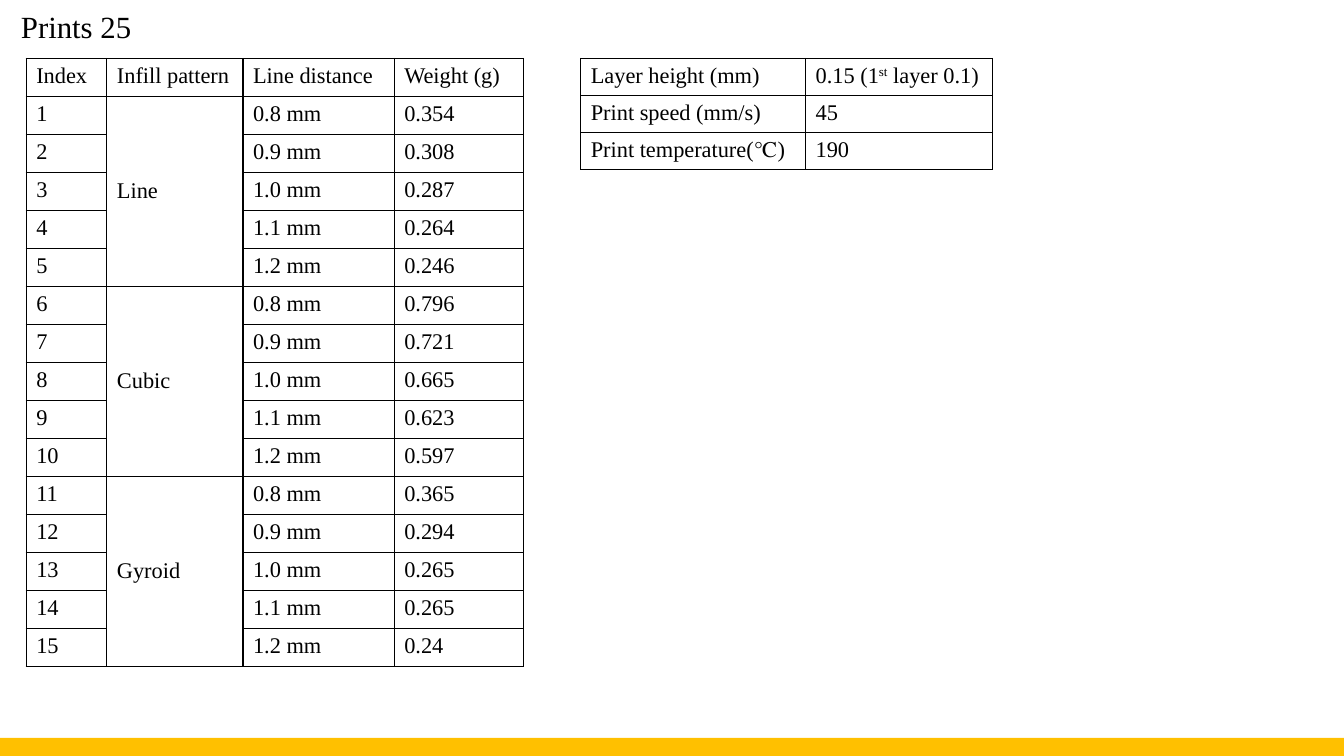
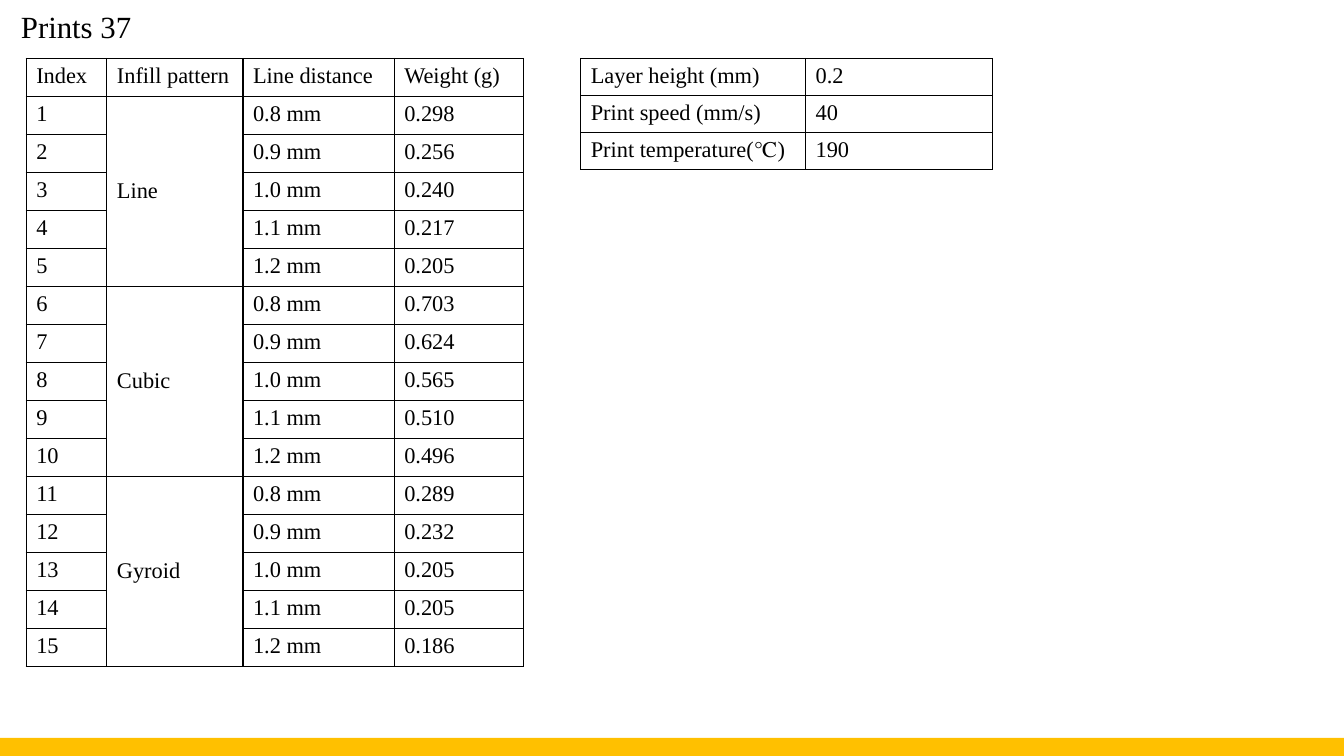
from lxml.etree import SubElement as Sub
from pptx import Presentation
from pptx.dml.color import RGBColor as RGB
from pptx.enum.shapes import MSO_SHAPE as Shape
from pptx.enum.text import MSO_ANCHOR as Anchor
from pptx.oxml.ns import qn
from pptx.util import Inches, Pt

COLORS = {"ink": "000000", "band": "FFC000", "paper": "FFFFFF"}
FONT = "Times New Roman"
TITLE = {"name": FONT, "size": Pt(22)}
BODY = {"name": FONT, "size": Pt(16), "bold": False}
FRAME = {"word_wrap": True, "vertical_anchor": Anchor.MIDDLE}
PLAIN = {"first_row": False, "horz_banding": False}
WIDE, HIGH = 13.33, 7.5
TOP = 0.58

HEAD = ["Index", "Infill pattern", "Line distance", "Weight (g)"]
FILLS = ["Line", "Cubic", "Gyroid"]
GAPS = ["0.8 mm", "0.9 mm", "1.0 mm", "1.1 mm", "1.2 mm"]
LABELS = ["Layer height (mm)", "Print speed (mm/s)", "Print temperature(℃)"]
PRINTS = [
    ("Prints 25", ["0.15 (1^st^ layer 0.1)", "45", "190"],
     ["0.354", "0.308", "0.287", "0.264", "0.246",
      "0.796", "0.721", "0.665", "0.623", "0.597",
      "0.365", "0.294", "0.265", "0.265", "0.24"]),
    ("Prints 37", ["0.2", "40", "190"],
     ["0.298", "0.256", "0.240", "0.217", "0.205",
      "0.703", "0.624", "0.565", "0.510", "0.496",
      "0.289", "0.232", "0.205", "0.205", "0.186"]),
]


def apply(item, style):
    for key, value in style.items():
        setattr(item, key, value)


class Deck:
    """Hold the shared style and the current slide."""

    def __init__(self):
        self.show = Presentation()
        self.show.slide_width = Inches(WIDE)
        self.show.slide_height = Inches(HIGH)
        self.slide = None

    def color(self, name):
        return RGB.from_string(COLORS[name])

    def start(self, title):
        self.slide = self.show.slides.add_slide(self.show.slide_layouts[6])
        self.band()
        self.title(title)

    def band(self):
        tall = 0.18
        band = self.slide.shapes.add_shape(
            Shape.RECTANGLE, 0, Inches(HIGH - tall), Inches(WIDE), Inches(tall))
        band.shadow.inherit = False
        band.fill.solid()
        band.fill.fore_color.rgb = self.color("band")
        band.line.fill.background()

    def title(self, text):
        box = self.slide.shapes.add_textbox(
            Inches(0.11), 0, Inches(WIDE - 0.11), Inches(0.57))
        apply(box.text_frame, FRAME)
        line = box.text_frame.paragraphs[0]
        line.line_spacing = 0.9
        self.label(line, text, TITLE)

    def label(self, line, text, style):
        for place, part in enumerate(text.split("^")):
            run = line.add_run()
            run.text = part
            apply(run.font, style)
            run.font.color.rgb = self.color("ink")
            if place % 2:
                run._r.get_or_add_rPr().set("baseline", "30000")

    def border(self, cell):
        props = cell._tc.get_or_add_tcPr()
        for side in "LRTB":
            edge = Sub(props, qn(f"a:ln{side}"), w=str(Pt(1)))
            fill = Sub(edge, qn("a:solidFill"))
            Sub(fill, qn("a:srgbClr"), val=COLORS["ink"])

    def table(self, left, high, widths, rows):
        grid = self.slide.shapes.add_table(
            len(rows), len(widths), Inches(left), Inches(TOP),
            Inches(sum(widths)), Inches(high)).table
        apply(grid, PLAIN)
        for col, width in zip(grid.columns, widths):
            col.width = Inches(width)
        for r, row in enumerate(rows):
            for c, text in enumerate(row):
                cell = grid.cell(r, c)
                self.border(cell)
                cell.fill.solid()
                cell.fill.fore_color.rgb = self.color("paper")
                if text:
                    self.label(cell.text_frame.paragraphs[0], text, BODY)
        return grid

    def setup(self, values):
        self.table(5.76, 1.1, [2.23, 1.85], list(zip(LABELS, values)))

    def weights(self, values):
        step = len(GAPS)
        rows = [HEAD]
        for i, weight in enumerate(values):
            group, place = divmod(i, step)
            name = "" if place else FILLS[group]
            rows.append([str(i + 1), name, GAPS[place], weight])
        grid = self.table(0.26, 6.03, [0.8, 1.35, 1.5, 1.28], rows)
        for first in range(1, len(rows), step):
            cell = grid.cell(first, 1)
            cell.merge(grid.cell(first + step - 1, 1))
            cell.vertical_anchor = Anchor.MIDDLE


def main():
    deck = Deck()
    for title, setup, weights in PRINTS:
        deck.start(title)
        deck.setup(setup)
        deck.weights(weights)
    deck.show.save("out.pptx")


if __name__ == "__main__":
    main()
